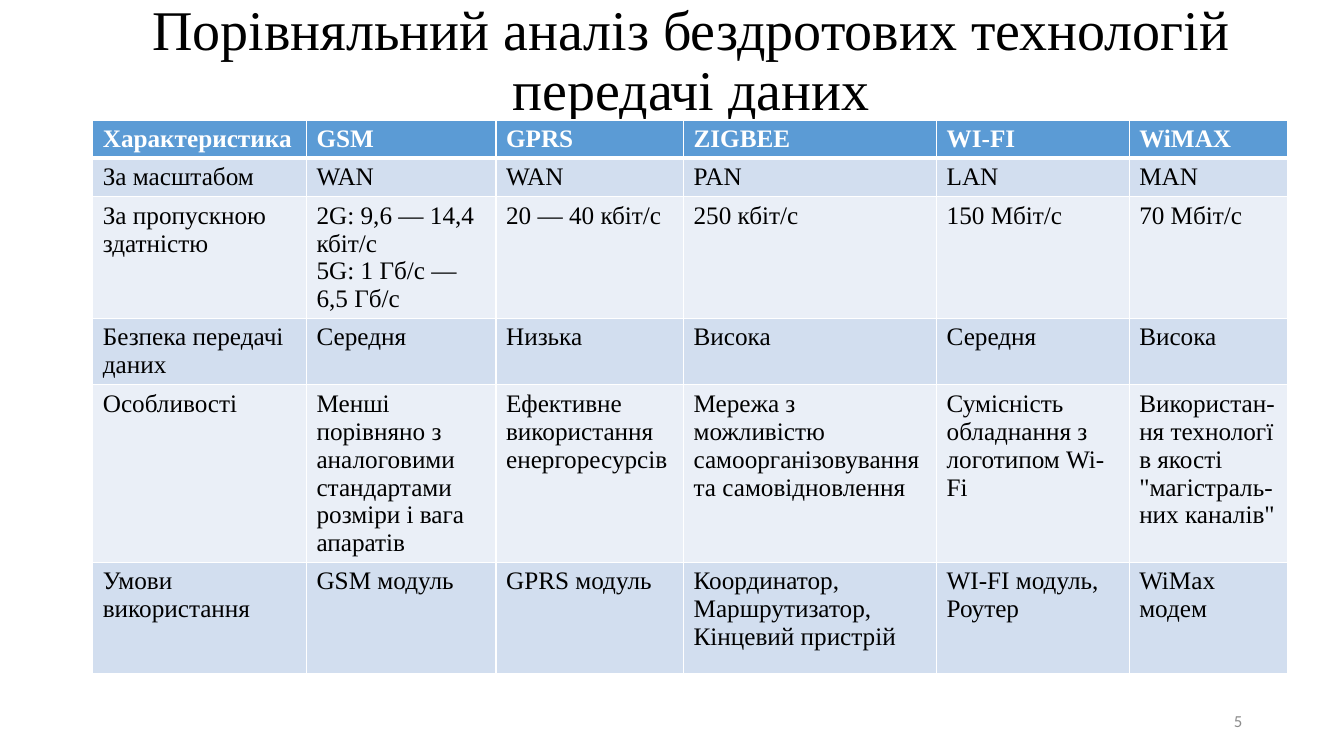
from pptx import Presentation
from pptx.dml.color import RGBColor
from pptx.enum.text import MSO_ANCHOR as Anchor, MSO_AUTO_SIZE as Fit, PP_ALIGN as Align
from pptx.oxml import parse_xml
from pptx.oxml.ns import nsdecls
from pptx.util import Inches, Pt

COLS = [2.12, 1.88, 1.86, 2.51, 1.91, 1.57]
ROWS = [0.38, 0.38, 0.66, 0.66, 1.1, 1.1]
DATA = [
    ["Характеристика", "GSM", "GPRS", "ZIGBEE", "WI-FI", "WiMAX"],
    ["За масштабом", "WAN", "WAN", "PAN", "LAN", "MAN"],
    ["За пропускною здатністю", "2G: 9,6 — 14,4 кбіт/с\n5G: 1 Гб/с — 6,5 Гб/с",
     "20 — 40 кбіт/с", "250 кбіт/с", "150 Мбіт/с", "70 Мбіт/с"],
    ["Безпека передачі даних", "Середня", "Низька", "Висока", "Середня", "Висока"],
    ["Особливості", "Менші порівняно з аналоговими стандартами розміри і вага апаратів",
     "Ефективне використання енергоресурсів",
     "Мережа з можливістю самоорганізовування та самовідновлення",
     "Сумісність обладнання з логотипом Wi-Fi",
     "Використан-ня технологї в якості \"магістраль-них каналів\""],
    ["Умови використання", "GSM модуль", "GPRS модуль",
     "Координатор,\nМаршрутизатор,\nКінцевий пристрій", "WI-FI модуль,\nРоутер",
     "WiMax модем"],
]


def color(code):
    return RGBColor.from_string(code)


def write(frame, text, size=18, font="Times New Roman", ink="000000",
          bold=False, align=Align.LEFT, space=None):
    frame.text = text
    frame.word_wrap = True
    for par in frame.paragraphs:
        par.alignment = align
        par.line_spacing = space
        for run in par.runs:
            run.font.size = Pt(size)
            run.font.name = font
            run.font.bold = bold
            run.font.color.rgb = color(ink)


def edge(cell, side, width):
    """Draw one white border; side is L, R, T or B."""
    cell._tc.get_or_add_tcPr().append(parse_xml(
        f'<a:ln{side} {nsdecls("a")} w="{Pt(width)}"><a:solidFill>'
        f'<a:srgbClr val="FFFFFF"/></a:solidFill></a:ln{side}>'))


class Deck:
    head = "5B9BD5"
    bands = ["EAEFF7", "D2DEEF"]

    def __init__(self):
        self.prs = Presentation()
        self.prs.slide_width = Inches(13.33)
        self.prs.slide_height = Inches(7.5)
        self.slide = self.prs.slides.add_slide(self.prs.slide_layouts[5])

    def title(self, text, left, top, width, height):
        box = self.slide.shapes.title
        box.left, box.top = Inches(left), Inches(top)
        box.width, box.height = Inches(width), Inches(height)
        frame = box.text_frame
        write(frame, text, size=40, align=Align.CENTER, space=0.9)
        frame.auto_size = Fit.NONE
        frame.vertical_anchor = Anchor.MIDDLE

    def table(self, data, left, top, cols, rows):
        grid = self.slide.shapes.add_table(
            len(rows), len(cols), Inches(left), Inches(top),
            Inches(sum(cols)), Inches(sum(rows))).table
        for col, width in zip(grid.columns, cols):
            col.width = Inches(width)
        for row, height in zip(grid.rows, rows):
            row.height = Inches(height)
        for i, line in enumerate(data):
            for j, text in enumerate(line):
                self.cell(grid.cell(i, j), text, i)

    def cell(self, cell, text, row):
        top = row == 0
        write(cell.text_frame, text, bold=top, ink="FFFFFF" if top else "000000")
        edge(cell, "L", 1)
        edge(cell, "R", 1)
        edge(cell, "T", 3 if row == 1 else 1)
        edge(cell, "B", 3 if top else 1)
        cell.fill.solid()
        cell.fill.fore_color.rgb = color(self.head if top else self.bands[row % 2])

    def label(self, text, left, top, width, height, **style):
        box = self.slide.shapes.add_textbox(
            Inches(left), Inches(top), Inches(width), Inches(height))
        write(box.text_frame, text, **style)
        box.text_frame.vertical_anchor = Anchor.MIDDLE


def main():
    deck = Deck()
    deck.title("Порівняльний аналіз бездротових технологій передачі даних",
               0.71, 0.24, 12.29, 0.76)
    deck.table(DATA, 0.92, 1.19, COLS, ROWS)
    deck.label("5", 9.42, 6.95, 3, 0.4, size=12, font="Calibri",
               ink="8C8C8C", align=Align.RIGHT)
    deck.prs.save("out.pptx")


if __name__ == "__main__":
    main()
